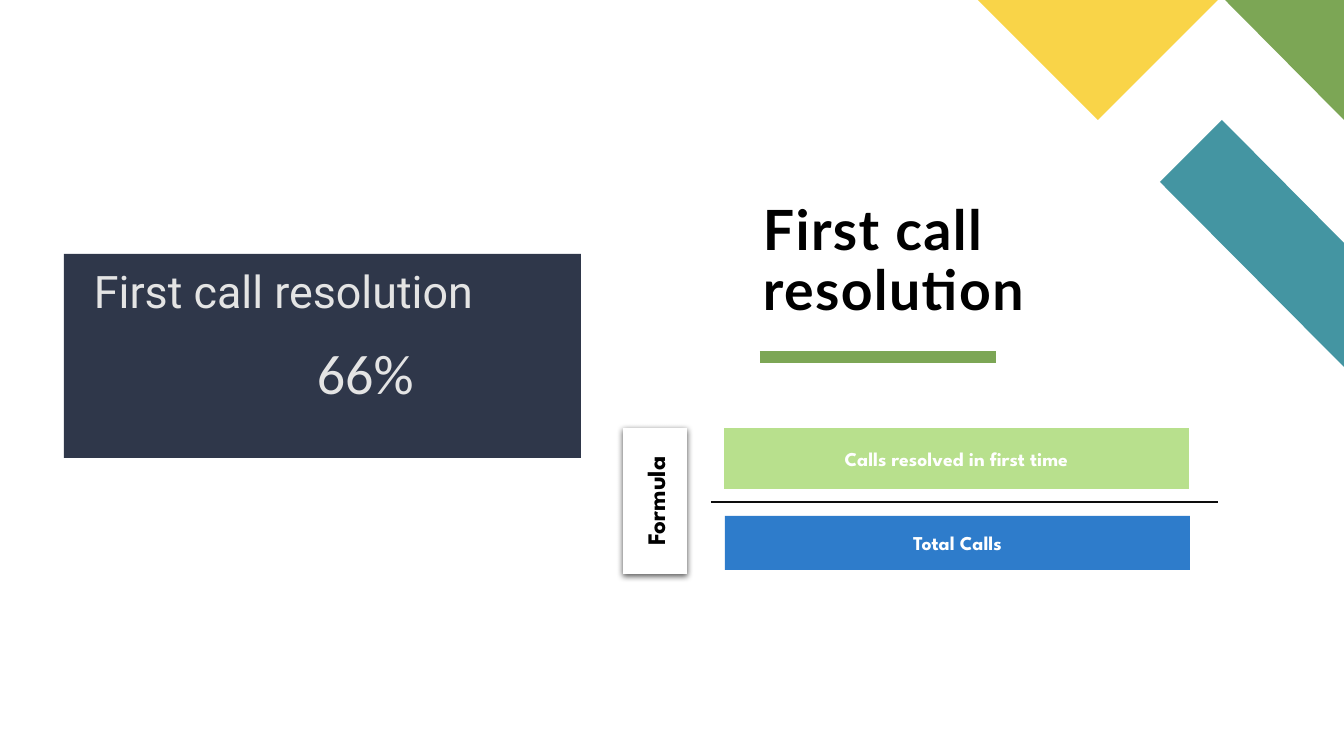
"""Build the first call resolution slide with its formula."""
from lxml.etree import SubElement
from pptx import Presentation
from pptx.dml.color import RGBColor as RGB
from pptx.enum.shapes import MSO_CONNECTOR as CONN, MSO_SHAPE as SHAPE
from pptx.enum.text import MSO_ANCHOR as ANCHOR, PP_ALIGN as ALIGN
from pptx.oxml.ns import qn
from pptx.util import Pt

PX = 914400 / 100.8
HUES = {
    "green": "7CA655", "teal": "4495A2", "gold": "F9D448", "navy": "2F374A",
    "blue": "0060C0", "lime": "92D050", "white": "FFFFFF", "black": "000000",
    "ink": "0D0D0D", "pale": "E4E4E4",
}


def paint(shape, hue, alpha=100):
    shape.shadow.inherit = False
    shape.fill.solid()
    shape.fill.fore_color.rgb = RGB.from_string(HUES[hue])
    shape.line.fill.background()
    if alpha < 100:
        color = shape._element.spPr.find(qn("a:solidFill"))[0]
        SubElement(color, qn("a:alpha"), val=str(alpha * 1000))


def write(shape, text, face, size, hue, bold=False, align=ALIGN.LEFT):
    frame = shape.text_frame
    frame.word_wrap = True
    para = frame.paragraphs[0]
    para.text = text
    para.alignment = align
    font = para.font
    font.name, font.size, font.bold = face, Pt(size), bold
    font.color.rgb = RGB.from_string(HUES[hue])
    return frame


deck = Presentation()
deck.slide_width, deck.slide_height = round(1344 * PX), round(756 * PX)
shapes = deck.slides.add_slide(deck.slide_layouts[6]).shapes

corner = [
    ("teal", [(1344, 367), (1344, 243), (1222, 120), (1160, 182)]),
    ("green", [(1344, 120), (1344, 0), (1225, 0)]),
    ("gold", [(978, 0), (1098, 120), (1218, 0)]),
]
for hue, points in corner:
    path = shapes.build_freeform(*points[0], scale=PX)
    path.add_line_segments(points[1:])
    paint(path.convert_to_shape(), hue)

rules = [(760, 996, 357, "green", 8), (711, 1218, 502, "ink", 2)]
for left, right, top, hue, width in rules:
    ends = [round(v * PX) for v in (left, top, right, top)]
    rule = shapes.add_connector(CONN.STRAIGHT, *ends)
    rule.line.color.rgb = RGB.from_string(HUES[hue])
    rule.line.width = Pt(width)
    SubElement(rule._element.spPr, qn("a:effectLst"))

bars = [
    ("Formula", (623, 428, 64, 146), "white", 100, 18, "black"),
    ("Total Calls", (725, 516, 465, 54), "blue", 82, 14, "white"),
    ("Calls resolved in first time", (724, 428, 465, 61), "lime", 65, 14, "white"),
    ("", (64, 254, 517, 204), "navy", 100, 14, "white"),
]
for text, area, hue, alpha, size, ink in bars:
    bar = shapes.add_shape(SHAPE.RECTANGLE, *[round(v * PX) for v in area])
    paint(bar, hue, alpha)
    if text:
        frame = write(bar, text, "League Spartan", size, ink, True, ALIGN.CENTER)
        frame.vertical_anchor = ANCHOR.MIDDLE
    if text == "Formula":
        frame._txBody.bodyPr.set("vert", "vert270")
        glow = SubElement(
            bar._element.spPr.find(qn("a:effectLst")), qn("a:outerShdw"),
            blurRad=str(Pt(4.5)), dist=str(Pt(1.5)), dir="5400000",
            algn="t", rotWithShape="0")
        shade = SubElement(glow, qn("a:srgbClr"), val=HUES["black"])
        SubElement(shade, qn("a:alpha"), val="63000")

labels = [
    ("66%", (307, 334, 270, 89), "Calibri", 40, "pale", False),
    ("First call resolution", (84, 259, 448, 82), "Roboto", 32, "pale", False),
    ("First call resolution", (763, 254, 387, 68), "Lato", 39.6, "black", True),
]
for text, area, face, size, hue, bold in labels:
    box = shapes.add_textbox(*[round(v * PX) for v in area])
    frame = write(box, text, face, size, hue, bold)

frame.vertical_anchor = ANCHOR.BOTTOM
frame.margin_left = frame.margin_right = frame.margin_top = frame.margin_bottom = 0
title = frame.paragraphs[0]
title.line_spacing = 0.9
title.runs[0]._r.get_or_add_rPr().set("spc", "100")

deck.save("out.pptx")
